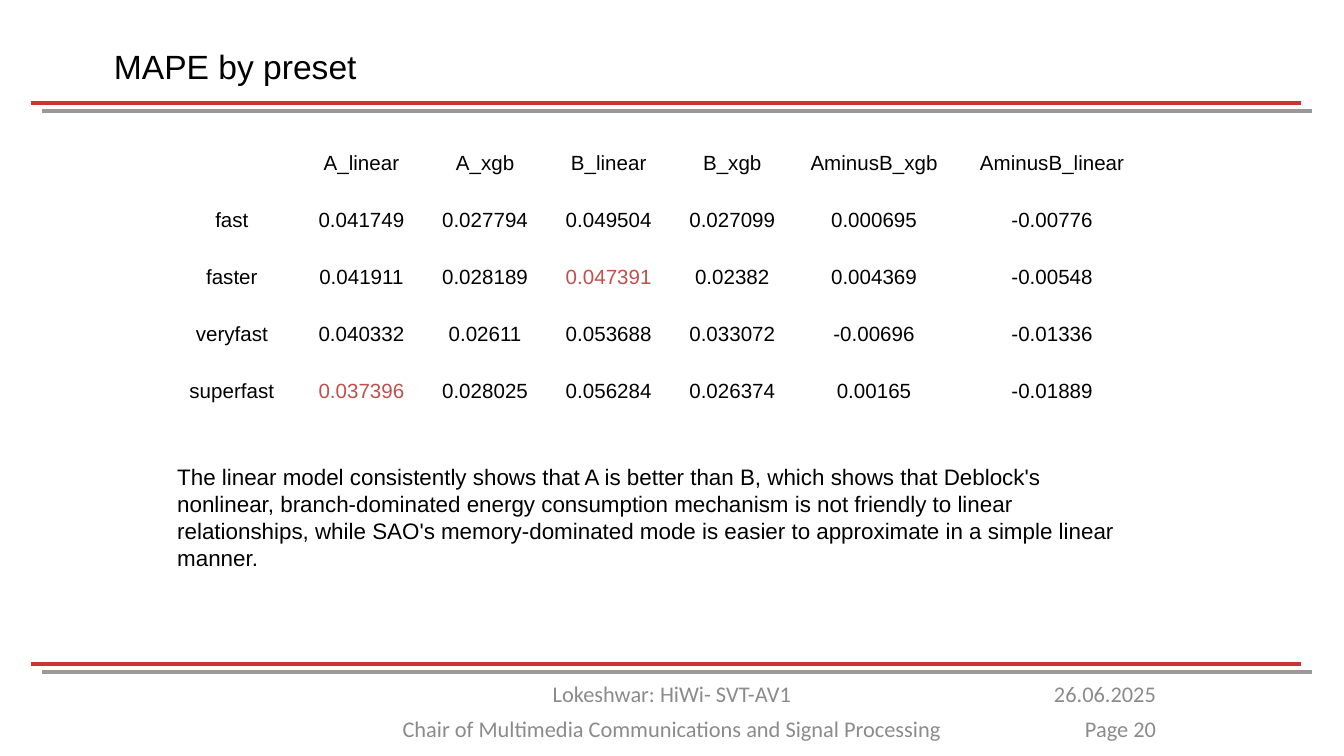
import pptx
import pptx.util
import pptx.dml.color
import pptx.enum.shapes
import pptx.enum.text

ALIGN = pptx.enum.text.PP_ALIGN
color = pptx.dml.color.RGBColor.from_string
THEME = {
    "ink": "000000", "footer": "8B8B8B", "highlight": "C0504D",
    "red": "CC3333", "grey": "999999",
    "body_font": "Arial", "footer_font": "Calibri",
    "title_size": 18, "text_size": 12, "table_size": 11, "rule_width": 2.25,
}

deck = pptx.Presentation()
deck.slide_width = pptx.util.Inches(10)
deck.slide_height = pptx.util.Inches(5.625)
slide = deck.slides.add_slide(deck.slide_layouts[6])

# Square grid: 100 columns by 56.25 rows
UNIT = deck.slide_width / 100


def grid(*units):
    return [round(n * UNIT) for n in units]


def style(paragraph, size, ink="ink", font="body_font", align=ALIGN.LEFT):
    paragraph.alignment = align
    paragraph.font.size = pptx.util.Pt(THEME[size])
    paragraph.font.name = THEME[font]
    paragraph.font.color.rgb = color(THEME[ink])


# Double rules under the title and above the footer
for rule_top in (7.65, 49.4):
    for ink, left, drop in (("red", 2.3, 0), ("grey", 3.15, 0.6)):
        rule = slide.shapes.add_connector(
            pptx.enum.shapes.MSO_CONNECTOR.STRAIGHT,
            *grid(left, rule_top + drop, left + 94.5, rule_top + drop))
        rule.line.color.rgb = color(THEME[ink])
        rule.line.width = pptx.util.Pt(THEME["rule_width"])
        rule._element.spPr.append(pptx.oxml.parse_xml(
            '<a:effectLst xmlns:a="http://schemas.openxmlformats.org/drawingml/2006/main"/>'))

# Title, conclusion and footer
conclusion = (
    "The linear model consistently shows that A is better than B, which shows that "
    "Deblock's nonlinear, branch-dominated energy consumption mechanism is not friendly "
    "to linear relationships, while SAO's memory-dominated mode is easier to approximate "
    "in a simple linear manner.")
footer = ("text_size", "footer", "footer_font")
for wording, place, look in (
    ("MAPE by preset", (7.5, 2.9, 50, 4), ("title_size",)),
    (conclusion, (12.2, 34, 73.2, 9.1), ("text_size",)),
    ("Lokeshwar: HiWi- SVT-AV1", (26, 50.1, 48, 3), (*footer, ALIGN.CENTER)),
    ("Chair of Multimedia Communications and Signal Processing",
     (26, 52.7, 48, 3), (*footer, ALIGN.CENTER)),
    ("26.06.2025", (75.2, 50.1, 11.8, 3), (*footer, ALIGN.RIGHT)),
    ("Page 20", (75.2, 52.7, 11.8, 3), (*footer, ALIGN.RIGHT)),
):
    text = slide.shapes.add_textbox(*grid(*place)).text_frame
    text.word_wrap = True
    text.text = wording
    style(text.paragraphs[0], *look)

# Error table, with the best linear result of each group highlighted
mape = [
    ("", "A_linear", "A_xgb", "B_linear", "B_xgb", "AminusB_xgb", "AminusB_linear"),
    ("fast", "0.041749", "0.027794", "0.049504", "0.027099", "0.000695", "-0.00776"),
    ("faster", "0.041911", "0.028189", "0.047391", "0.02382", "0.004369", "-0.00548"),
    ("veryfast", "0.040332", "0.02611", "0.053688", "0.033072", "-0.00696", "-0.01336"),
    ("superfast", "0.037396", "0.028025", "0.056284", "0.026374", "0.00165", "-0.01889"),
]
best = {"0.047391", "0.037396"}
column_widths = grid(10.1, 9.2, 9.2, 9.2, 9.2, 11.9, 14.6)
table = slide.shapes.add_table(
    len(mape), len(column_widths), *grid(12.2, 10, 73.4, 21.25)).table
table.first_row = table.horz_banding = False
for column, width in zip(table.columns, column_widths):
    column.width = width
for r, values in enumerate(mape):
    for c, value in enumerate(values):
        cell = table.cell(r, c)
        cell.fill.background()
        if not value:
            continue
        cell.text = value
        cell.vertical_anchor = pptx.enum.text.MSO_ANCHOR.MIDDLE
        cell.margin_left, cell.margin_right, cell.margin_top, cell.margin_bottom = grid(*[0.7] * 4)
        style(cell.text_frame.paragraphs[0], "table_size",
              "highlight" if value in best else "ink", align=ALIGN.CENTER)

deck.save("out.pptx")
